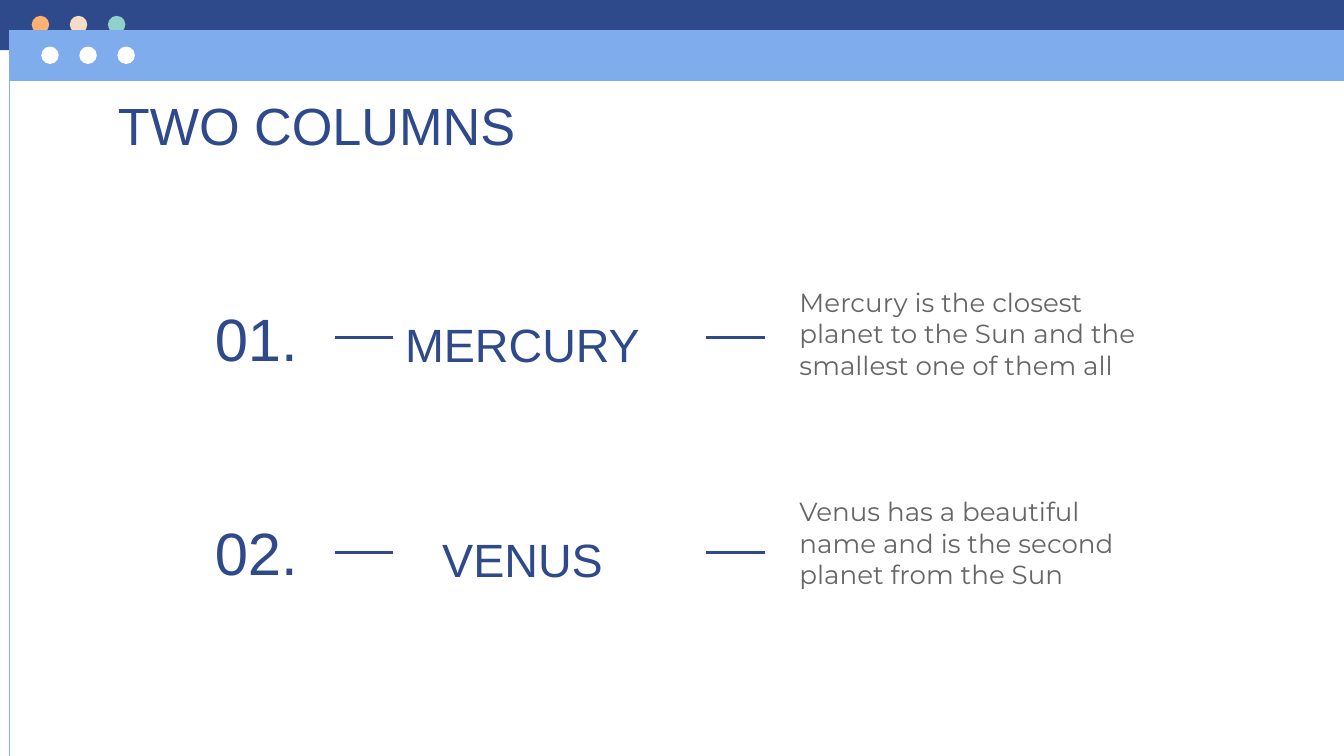
import pptx
import pptx.util
import pptx.dml.color
import pptx.enum.shapes
import pptx.enum.text
import pptx.oxml.ns
import lxml.etree

Cm, Pt = pptx.util.Cm, pptx.util.Pt
Shape = pptx.enum.shapes.MSO_SHAPE
Align = pptx.enum.text.PP_ALIGN
Anchor = pptx.enum.text.MSO_ANCHOR

NAVY, SKY, GREY, WHITE = "2F4A8A", "7EACEC", "666666", "FFFFFF"
WIDTH, HEIGHT = 25.4, 14.29

HEADING = "TWO COLUMNS"
# number, planet, description, centre of the row, top of the description (cm)
PLANETS = [
    ("01.", "MERCURY",
     "Mercury is the closest planet to the Sun and the smallest one of them all", 6.38, 5.16),
    ("02.", "VENUS",
     "Venus has a beautiful name and is the second planet from the Sun", 10.44, 9.12),
]
# left, top, height, bar colour, first dot's left and top, dot colours
WINDOWS = [
    (0, 0, 0.95, NAVY, 0.6, 0.3, ("FFB172", "F8DBC4", "90D1CB")),
    (0.18, 0.57, 0.96, SKY, 0.78, 0.88, (WHITE, WHITE, WHITE)),
]
DOT_SIZE, DOT_STEP = 0.33, 0.72
DASH_LEFTS, DASH_LENGTH = (6.33, 13.35), 1.1


def rgb(hex_colour):
    return pptx.dml.color.RGBColor.from_string(hex_colour)


def add_filled(kind, left, top, width, height, colour):
    shape = slide.shapes.add_shape(kind, Cm(left), Cm(top), Cm(width), Cm(height))
    shape.shadow.inherit = False
    shape.fill.solid()
    shape.fill.fore_color.rgb = rgb(colour)
    shape.line.fill.background()


def add_line(x1, y1, x2, y2, colour, weight):
    line = slide.shapes.add_connector(
        pptx.enum.shapes.MSO_CONNECTOR.STRAIGHT, Cm(x1), Cm(y1), Cm(x2), Cm(y2))
    line.line.color.rgb = rgb(colour)
    line.line.width = Pt(weight)
    lxml.etree.SubElement(line._element.spPr, pptx.oxml.ns.qn("a:effectLst"))


def add_text(text, left, top, width, height, size, colour=NAVY, font="Arial",
             align=Align.LEFT, anchor=Anchor.TOP):
    box = slide.shapes.add_textbox(Cm(left), Cm(top), Cm(width), Cm(height))
    frame = box.text_frame
    frame.word_wrap = True
    frame.vertical_anchor = anchor
    frame.margin_left = frame.margin_right = Cm(0.25)
    frame.margin_top = frame.margin_bottom = Cm(0.25)
    paragraph = frame.paragraphs[0]
    paragraph.text = text
    paragraph.alignment = align
    paragraph.font.name = font
    paragraph.font.size = Pt(size)
    paragraph.font.color.rgb = rgb(colour)


deck = pptx.Presentation()
deck.slide_width, deck.slide_height = Cm(WIDTH), Cm(HEIGHT)
slide = deck.slides.add_slide(deck.slide_layouts[6])

for left, top, height, bar_colour, dot_left, dot_top, dot_colours in WINDOWS:
    add_filled(Shape.RECTANGLE, left, top, WIDTH - left, height, bar_colour)
    for i, dot_colour in enumerate(dot_colours):
        add_filled(Shape.OVAL, dot_left + i * DOT_STEP, dot_top,
                   DOT_SIZE, DOT_SIZE, dot_colour)
add_line(0.18, 0.57, 0.18, HEIGHT, SKY, 0.75)

add_text(HEADING, 1.98, 1.52, 21.44, 1.3, 28)
for number, planet, description, centre, description_top in PLANETS:
    add_text(number, 3.81, centre - 0.82, 2.51, 1.63, 32, anchor=Anchor.MIDDLE)
    add_text(planet, 6.32, centre - 0.65, 7.11, 1.3, 25, align=Align.CENTER)
    add_text(description, 14.86, description_top, 7.11, 2.5, 14, GREY, "Montserrat")
    for dash_left in DASH_LEFTS:
        add_line(dash_left, centre, dash_left + DASH_LENGTH, centre, NAVY, 1.5)

deck.save("out.pptx")
